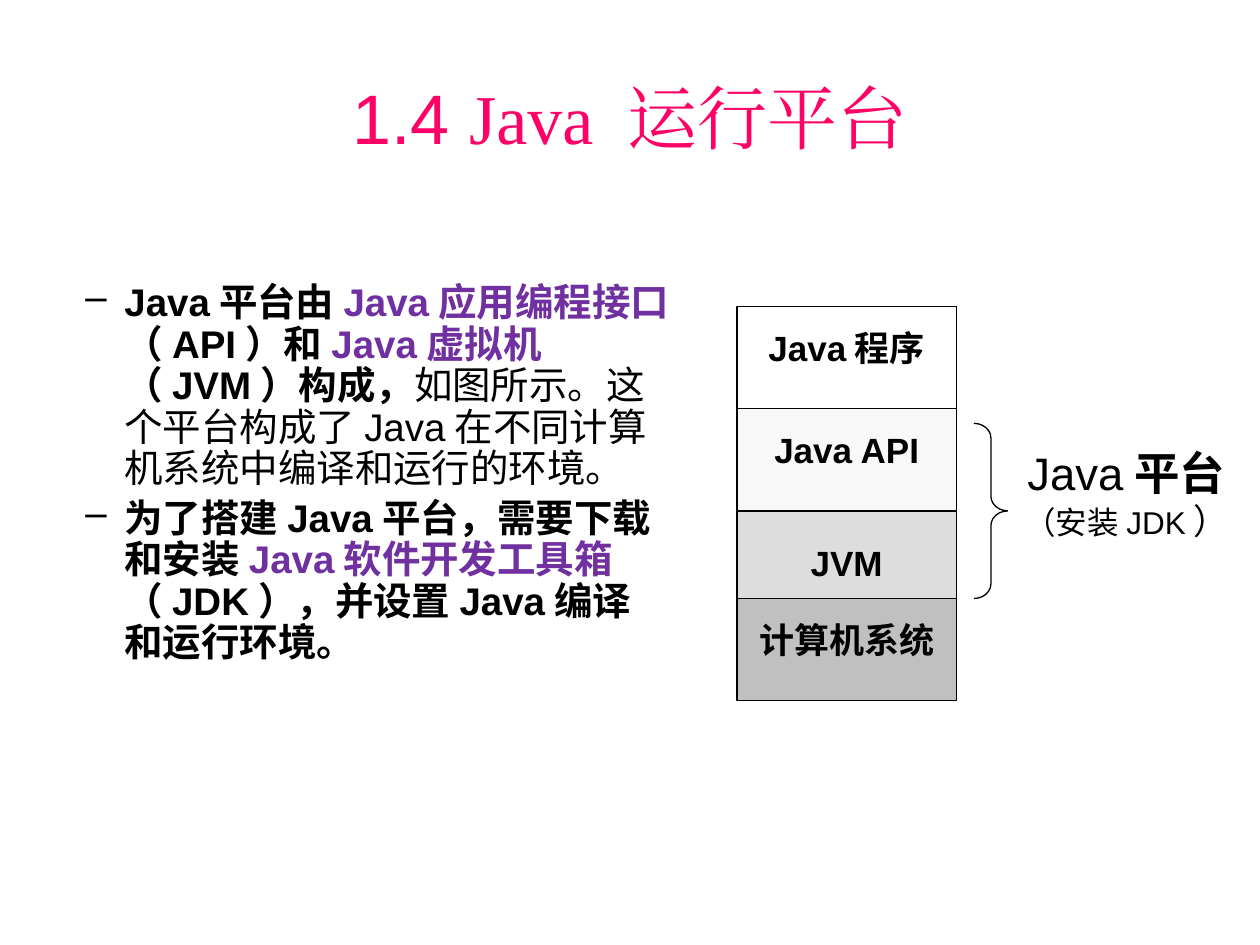
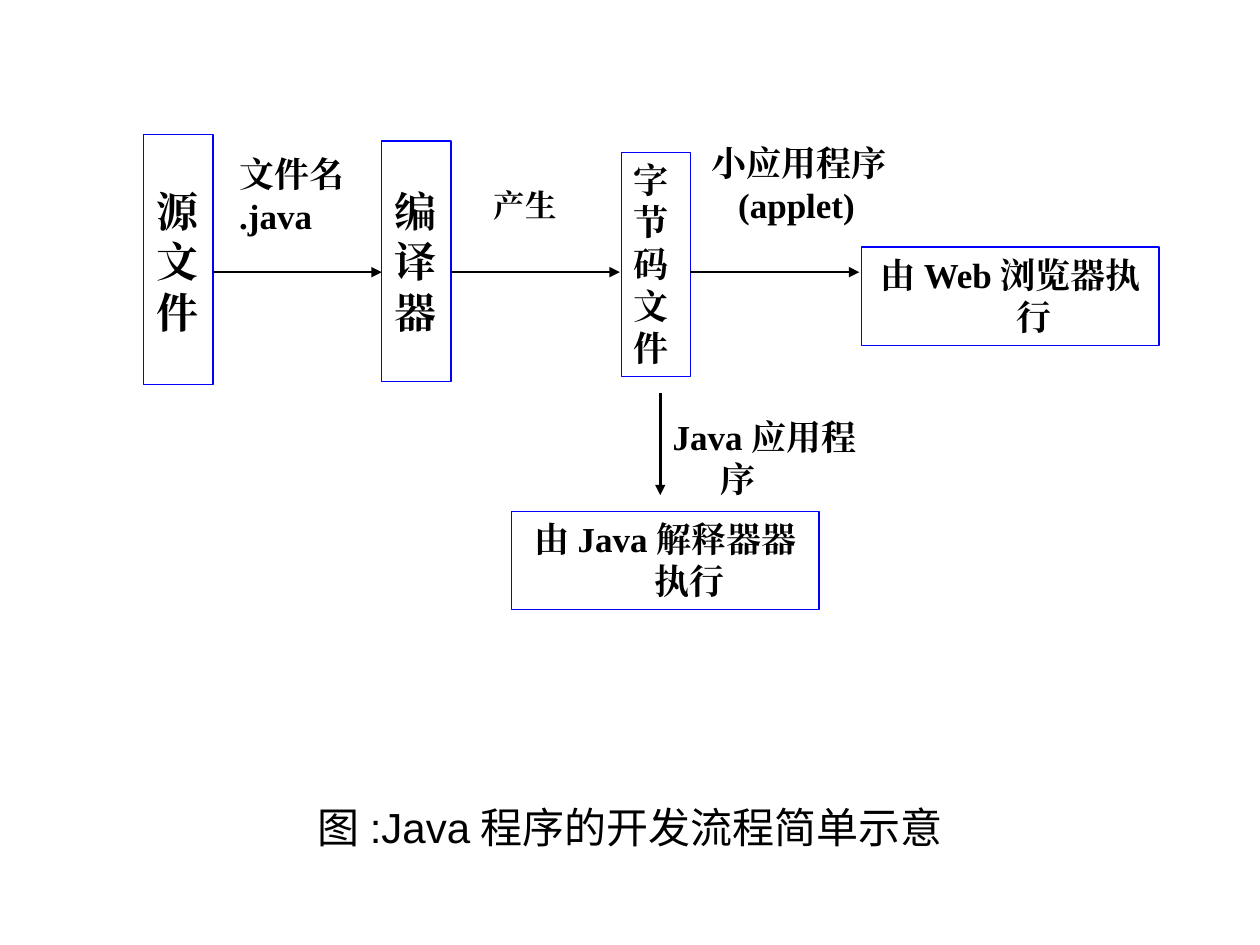
"""Build two slides on the Java platform and the Java development flow."""
from lxml.etree import SubElement
from pptx import Presentation
from pptx.dml.color import RGBColor
from pptx.enum.shapes import MSO_CONNECTOR, MSO_SHAPE
from pptx.enum.text import MSO_ANCHOR, PP_ALIGN
from pptx.oxml.ns import qn
from pptx.util import Pt

PX = 9144
COLORS = {
    "text": "000000",
    "title": "FF0066",
    "accent": "7030A0",
    "white": "FFFFFF",
    "api": "F8F8F8",
    "jvm": "DDDDDD",
    "system": "C0C0C0",
    "flow": "0000FF",
}
ARIAL = {"name": "Arial", "size": 20, "bold": False, "color": "text"}
BOLD = {**ARIAL, "bold": True}
SERIF = {**BOLD, "name": "Times New Roman"}
HANGING = {"marL": 38, "indent": -38}
CENTER = {"alignment": PP_ALIGN.CENTER}


def add_box(slide, bounds, paragraphs, fill=None, line=None, insets=(10, 5, 10, 5),
            anchor=MSO_ANCHOR.TOP, layout=None, indents=None, bullet=None):
    """Add a box whose paragraphs are lists of (text, format) runs."""
    bounds = [value * PX for value in bounds]
    if fill or line:
        shape = slide.shapes.add_shape(MSO_SHAPE.RECTANGLE, *bounds)
        shape.shadow.inherit = False
        for target, color in ((shape.fill, fill), (shape.line.fill, line)):
            if color:
                target.solid()
                target.fore_color.rgb = RGBColor.from_string(COLORS[color])
            else:
                target.background()
        if line:
            shape.line.width = Pt(0.75)
    else:
        shape = slide.shapes.add_textbox(*bounds)
    frame = shape.text_frame
    frame.word_wrap = True
    frame.vertical_anchor = anchor
    for side, inset in zip(("left", "top", "right", "bottom"), insets):
        setattr(frame, f"margin_{side}", inset * PX)
    for index, runs in enumerate(paragraphs):
        paragraph = frame.add_paragraph() if index else frame.paragraphs[0]
        for key, value in {"alignment": PP_ALIGN.LEFT, **(layout or {})}.items():
            if index or key != "space_before":
                setattr(paragraph, key, value)
        properties = paragraph._p.get_or_add_pPr()
        for key, value in (indents or {}).items():
            properties.set(key, str(value * PX))
        if bullet:
            SubElement(properties, qn("a:buChar")).set("char", bullet)
        for text, style in runs:
            run = paragraph.add_run()
            run.text = text
            for key, value in style.items():
                if key == "color":
                    run.font.color.rgb = RGBColor.from_string(COLORS[value])
                else:
                    setattr(run.font, key, Pt(value) if key == "size" else value)
            SubElement(run._r.get_or_add_rPr(), qn("a:ea")).set("typeface", style["name"])
    return shape


def add_arrow(slide, *ends):
    """Add a straight arrow between two points."""
    arrow = slide.shapes.add_connector(MSO_CONNECTOR.STRAIGHT, *[end * PX for end in ends])
    arrow.line.width = Pt(1.5)
    arrow.line.color.rgb = RGBColor.from_string(COLORS["text"])
    SubElement(arrow.line._get_or_add_ln(), qn("a:tailEnd")).set("type", "triangle")
    SubElement(arrow._element.spPr, qn("a:effectLst"))


presentation = Presentation()
presentation.slide_width = 1000 * PX
presentation.slide_height = 750 * PX
blank = presentation.slide_layouts[6]

platform = presentation.slides.add_slide(blank)
title = {**ARIAL, "size": 40, "color": "title"}
add_box(platform, (50, 30, 900, 125),
        [[("1.4 ", title), ("Java 运行平台", {**title, "name": "Times New Roman"})]],
        anchor=MSO_ANCHOR.MIDDLE, layout=CENTER)

body = {**BOLD, "size": 22}
accent = {**body, "color": "accent"}
add_box(platform, (8, 220, 533, 349), [
    [("Java平台由", body), ("Java应用编程接口", accent), ("（API）和", body),
     ("Java虚拟机", accent), ("（JVM）构成，", body),
     ("如图所示。这个平台构成了Java在不同计算机系统中编译和运行的环境。",
      {**body, "bold": False})],
    [("为了搭建Java平台，需要下载和安装", body), ("Java软件开发工具箱", accent),
     ("（JDK），并设置Java编译和运行环境。", body)],
], layout={"line_spacing": 0.9, "space_before": Pt(4.4)},
    indents={"marL": 81, "indent": -31}, bullet="–")

chinese = {**BOLD, "name": "Noto Sans CJK SC"}
layers = [
    (243, 81, "white", MSO_ANCHOR.TOP, [("Java", BOLD), ("程序", chinese)]),
    (406, 70, "jvm", MSO_ANCHOR.MIDDLE, [("JVM", BOLD)]),
    (324, 81, "api", MSO_ANCHOR.TOP, [("Java API", BOLD)]),
    (475, 81, "system", MSO_ANCHOR.TOP, [("计算机系统", chinese)]),
]
for top, height, fill, anchor, runs in layers:
    add_box(platform, (585, top, 174, height), [runs], fill, "text",
            (10, 16, 10, 5), anchor, CENTER)

brace = platform.shapes.add_shape(
    MSO_SHAPE.RIGHT_BRACE, 773 * PX, 336 * PX, 27 * PX, 139 * PX)
brace.shadow.inherit = False
brace.adjustments[0] = 0.43
brace.fill.background()
brace.line.width = Pt(0.75)
brace.line.color.rgb = RGBColor.from_string(COLORS["text"])
add_box(platform, (800, 348, 188, 116), [
    [("Java", {**ARIAL, "size": 26}),
     ("平台", {**BOLD, "name": "Montserrat", "size": 26})],
    [("（安装JDK", {**ARIAL, "size": 18}), ("）", ARIAL)],
], "white", layout=CENTER)

flow = presentation.slides.add_slide(blank)
add_box(flow, (50, 631, 900, 39),
        [[("图:Java程序的开发流程简单示意", {**ARIAL, "size": 24})]],
        layout=CENTER, indents={"marL": 67, "indent": -67})

stages = [
    (114, 107, 198, 40, 24, "源文件"),
    (303, 112, 191, 35, 24, "编译器"),
    (493, 121, 178, 5, 20, "字节码文件"),
]
for left, top, height, inset, size, name in stages:
    add_box(flow, (left, top, 55, height),
            [[(letter, {**SERIF, "size": size})] for letter in name],
            line="flow", insets=(10, inset, 10, 5), indents=HANGING)
    add_arrow(flow, left + 55, 216, left + 189, 216)
add_arrow(flow, 524, 312, 524, 393)

for bounds, text in (((406, 406, 244, 78), "由Java解释器器执行"),
                     ((684, 196, 236, 78), "由Web浏览器执行")):
    add_box(flow, bounds, [[(text, SERIF)]], line="flow", layout=CENTER, indents=HANGING)

labels = [
    ((180, 116, 110, 77), 20, ["文件名", ".java"]),
    ((382, 143, 71, 40), 18, ["产生"]),
    ((555, 107, 173, 77), 20, ["小应用程序", "(applet)"]),
    ((524, 325, 189, 43), 20, ["Java应用程序"]),
]
for bounds, size, lines in labels:
    label = add_box(flow, bounds, [[(line, {**SERIF, "size": size})] for line in lines],
                    indents=HANGING)
    if "(applet)" in lines:
        label.text_frame.paragraphs[1]._p.get_or_add_pPr().set("indent", str(-17 * PX))

presentation.save("out.pptx")
